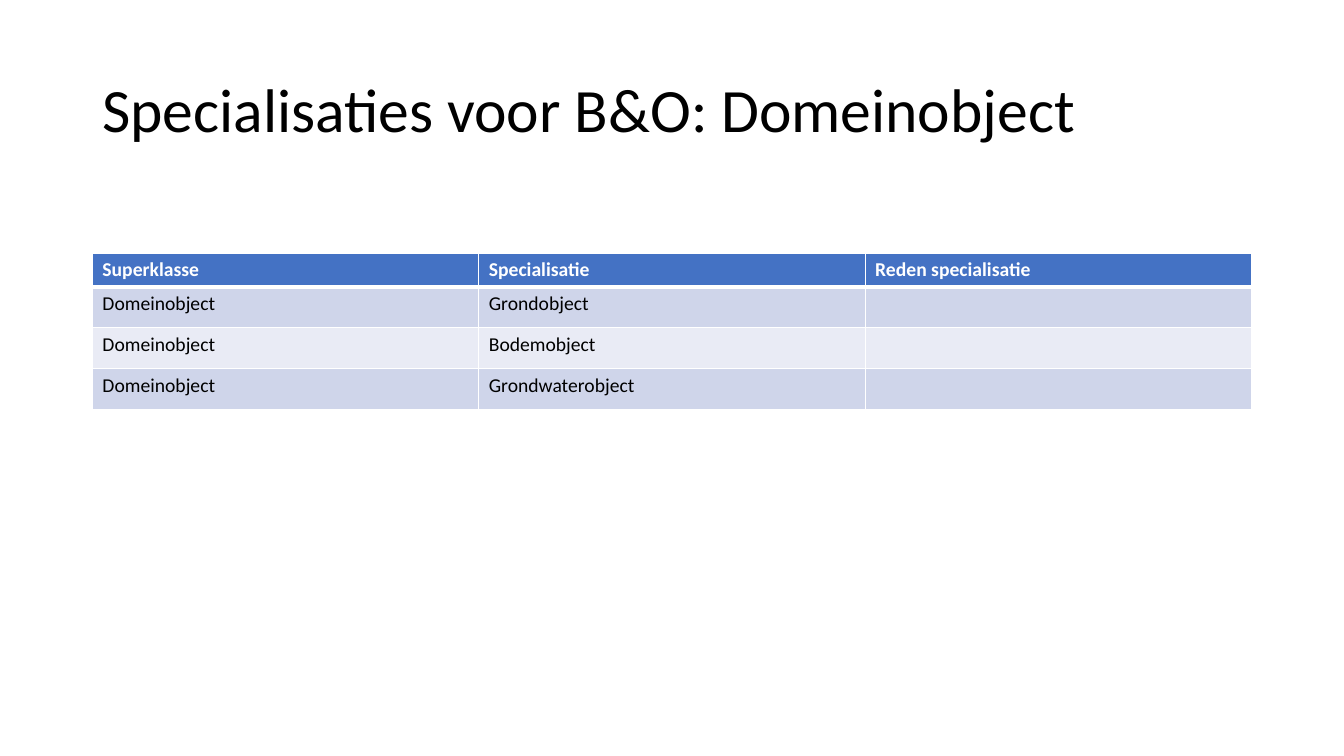
from dataclasses import dataclass

from lxml import etree
from pptx import Presentation
from pptx.dml.color import RGBColor
from pptx.enum.text import MSO_ANCHOR
from pptx.oxml.ns import qn
from pptx.util import Pt

MIDDLE = MSO_ANCHOR.MIDDLE
PX = 9525  # EMU per px, 96 px to the inch


@dataclass(frozen=True)
class Theme:
    font: str = "Calibri"
    title_size: int = 44
    table_size: int = 14
    text: str = "000000"
    header_text: str = "FFFFFF"
    header_fill: str = "4472C4"
    bands: tuple = ("CFD5EA", "E9EBF5")
    border: str = "FFFFFF"
    border_width: int = 1
    header_rule: int = 3


THEME = Theme()
TITLE = "Specialisaties voor B&O: Domeinobject"
HEADER = ("Superklasse", "Specialisatie", "Reden specialisatie")
SPECIALISATIONS = ("Grondobject", "Bodemobject", "Grondwaterobject")
ROWS = [HEADER] + [("Domeinobject", name, "") for name in SPECIALISATIONS]
HEADER_HEIGHT, ROW_HEIGHT = 32, 39


def px(*lengths):
    return [length * PX for length in lengths]


def write(p, text, size, color, bold=False):
    r = p.add_run()
    r.text = text
    font = {"name": THEME.font, "size": Pt(size), "bold": bold}
    for name, value in font.items():
        setattr(r.font, name, value)
    r.font.color.rgb = RGBColor.from_string(color)


def set_borders(cell, widths):
    """Draw the cell's left, right, top and bottom lines, widths in points."""
    tc_pr = cell._tc.get_or_add_tcPr()
    for side, width in zip("LRTB", widths):
        line = etree.SubElement(tc_pr, qn(f"a:ln{side}"), w=str(Pt(width)))
        fill = etree.SubElement(line, qn("a:solidFill"))
        etree.SubElement(fill, qn("a:srgbClr"), val=THEME.border)


def add_title(s, box):
    tf = s.shapes.add_textbox(*px(*box)).text_frame
    tf.word_wrap = True
    tf.vertical_anchor = MIDDLE
    p = tf.paragraphs[0]
    p.line_spacing = 0.9
    write(p, TITLE, THEME.title_size, THEME.text)


def add_specialisation_table(s, box):
    table = s.shapes.add_table(len(ROWS), len(HEADER), *px(*box)).table
    for i, values in enumerate(ROWS):
        is_header = i == 0
        table.rows[i].height, = px(HEADER_HEIGHT if is_header else ROW_HEIGHT)
        fill = THEME.header_fill if is_header else THEME.bands[(i - 1) % 2]
        color = THEME.header_text if is_header else THEME.text
        top = THEME.header_rule if i == 1 else THEME.border_width
        bottom = THEME.header_rule if is_header else THEME.border_width
        for cell, value in zip(table.rows[i].cells, values):
            set_borders(cell, (THEME.border_width, THEME.border_width, top, bottom))
            cell.fill.solid()
            cell.fill.fore_color.rgb = RGBColor.from_string(fill)
            if value:
                p = cell.text_frame.paragraphs[0]
                write(p, value, THEME.table_size, color, is_header)


def main():
    prs = Presentation()
    prs.slide_width, prs.slide_height = px(1280, 720)
    s = prs.slides.add_slide(prs.slide_layouts[6])
    add_title(s, (88, 38, 1104, 139))
    table_height = HEADER_HEIGHT + ROW_HEIGHT * len(SPECIALISATIONS)
    add_specialisation_table(s, (88, 241, 1104, table_height))
    prs.save("out.pptx")


if __name__ == "__main__":
    main()
